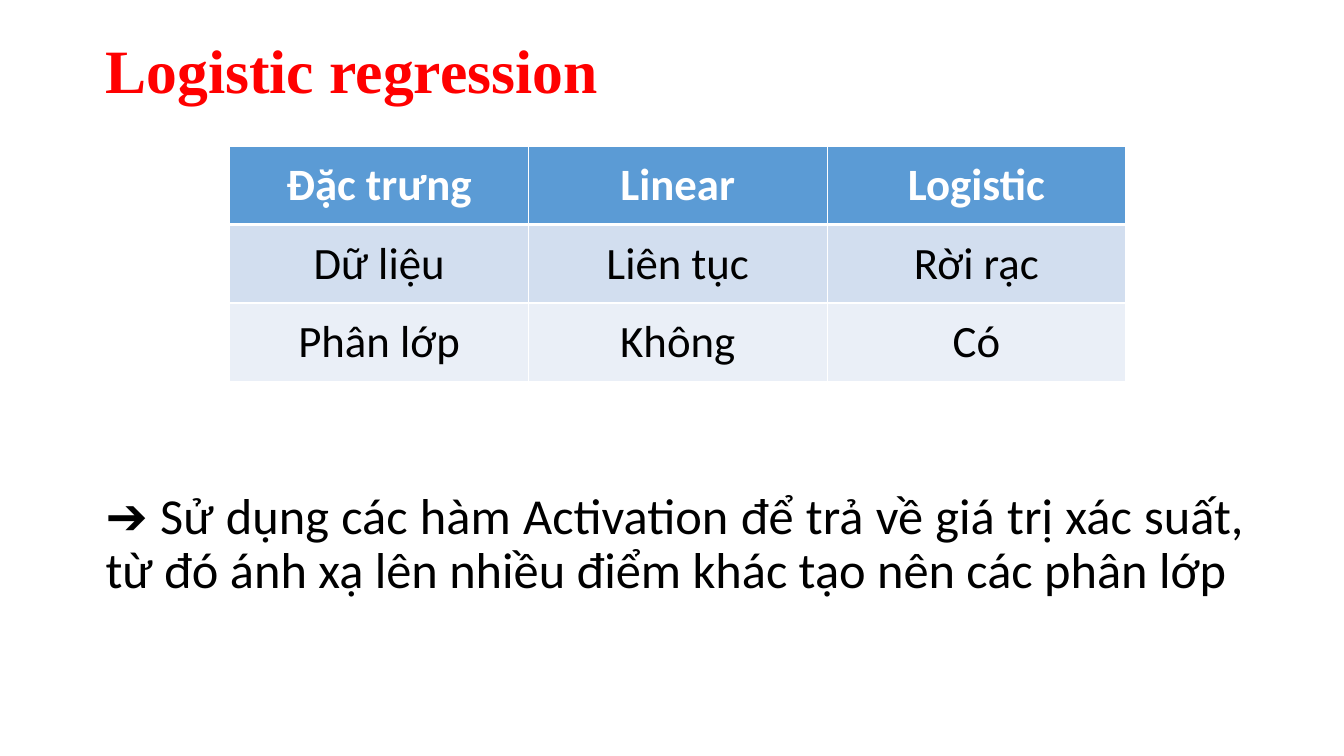
import dataclasses

import pptx
import pptx.dml.color
import pptx.enum.text
import pptx.oxml
import pptx.oxml.ns
import pptx.util

Pt = pptx.util.Pt
Align = pptx.enum.text.PP_ALIGN
Anchor = pptx.enum.text.MSO_ANCHOR


@dataclasses.dataclass(frozen=True)
class Theme:
    title_font: str = "Times New Roman"
    body_font: str = "Calibri"
    title_size: float = 44
    table_size: float = 32
    body_size: float = 36
    red: str = "FF0000"
    black: str = "000000"
    white: str = "FFFFFF"
    header_fill: str = "5B9BD5"
    band_fills: tuple = ("D2DEEF", "EAEFF7")
    thin_border: float = 1
    header_border: float = 3


class SlideBuilder:
    def __init__(self, slide, theme):
        self.slide = slide
        self.theme = theme

    def style(self, paragraph, font_name, size, color, bold, alignment):
        paragraph.alignment = alignment
        font = paragraph.font
        font.name = font_name
        font.size = Pt(size)
        font.bold = bold
        font.color.rgb = pptx.dml.color.RGBColor.from_string(color)

    def text(self, words, left, top, width, height, font_name, size, color,
             bold=False, alignment=Align.LEFT, anchor=Anchor.TOP, space_before=0):
        shape = self.slide.shapes.add_textbox(Pt(left), Pt(top), Pt(width), Pt(height))
        frame = shape.text_frame
        frame.word_wrap = True
        frame.vertical_anchor = anchor
        paragraph = frame.paragraphs[0]
        paragraph.text = words
        paragraph.line_spacing = 0.9
        paragraph.space_before = Pt(space_before)
        self.style(paragraph, font_name, size, color, bold, alignment)

    def borders(self, cell, top, bottom):
        """Draw all four cell borders, with the given top and bottom widths."""
        thin = self.theme.thin_border
        properties = cell._tc.get_or_add_tcPr()
        for side, width in {"L": thin, "R": thin, "T": top, "B": bottom}.items():
            properties.append(pptx.oxml.parse_xml(
                f'<a:ln{side} {pptx.oxml.ns.nsdecls("a")} w="{Pt(width)}">'
                f'<a:solidFill><a:srgbClr val="{self.theme.white}"/></a:solidFill>'
                f'</a:ln{side}>'))

    def table(self, rows, left, top, width, height):
        """Add a table with a header row and banded body rows."""
        theme = self.theme
        table = self.slide.shapes.add_table(
            len(rows), len(rows[0]), Pt(left), Pt(top), Pt(width), Pt(height)).table
        for row_index, row in enumerate(rows):
            is_header = row_index == 0
            fill = theme.header_fill if is_header else theme.band_fills[(row_index - 1) % 2]
            color = theme.white if is_header else theme.black
            top_border = theme.header_border if row_index == 1 else theme.thin_border
            bottom_border = theme.header_border if is_header else theme.thin_border
            for column_index, words in enumerate(row):
                cell = table.cell(row_index, column_index)
                cell.text = words
                cell.vertical_anchor = Anchor.MIDDLE
                self.borders(cell, top_border, bottom_border)
                cell.fill.solid()
                cell.fill.fore_color.rgb = pptx.dml.color.RGBColor.from_string(fill)
                self.style(cell.text_frame.paragraphs[0], theme.body_font,
                           theme.table_size, color, is_header, Align.CENTER)


def main():
    presentation = pptx.Presentation()
    presentation.slide_width = Pt(960)
    presentation.slide_height = Pt(540)
    theme = Theme()
    builder = SlideBuilder(
        presentation.slides.add_slide(presentation.slide_layouts[6]), theme)

    builder.text("Logistic regression", 68.4, 0, 828, 104.4,
                 theme.title_font, theme.title_size, theme.red,
                 bold=True, anchor=Anchor.MIDDLE)
    builder.table([
        ["Đặc trưng", "Linear", "Logistic"],
        ["Dữ liệu", "Liên tục", "Rời rạc"],
        ["Phân lớp", "Không", "Có"],
    ], 164.2, 104.4, 640, 168)
    builder.text("➔ Sử dụng các hàm Activation để trả về giá trị xác suất, "
                 "từ đó ánh xạ lên nhiều điểm khác tạo nên các phân lớp",
                 68.4, 347, 828, 100, theme.body_font, theme.body_size, theme.black,
                 alignment=Align.JUSTIFY, space_before=10)

    presentation.save("out.pptx")


if __name__ == "__main__":
    main()
